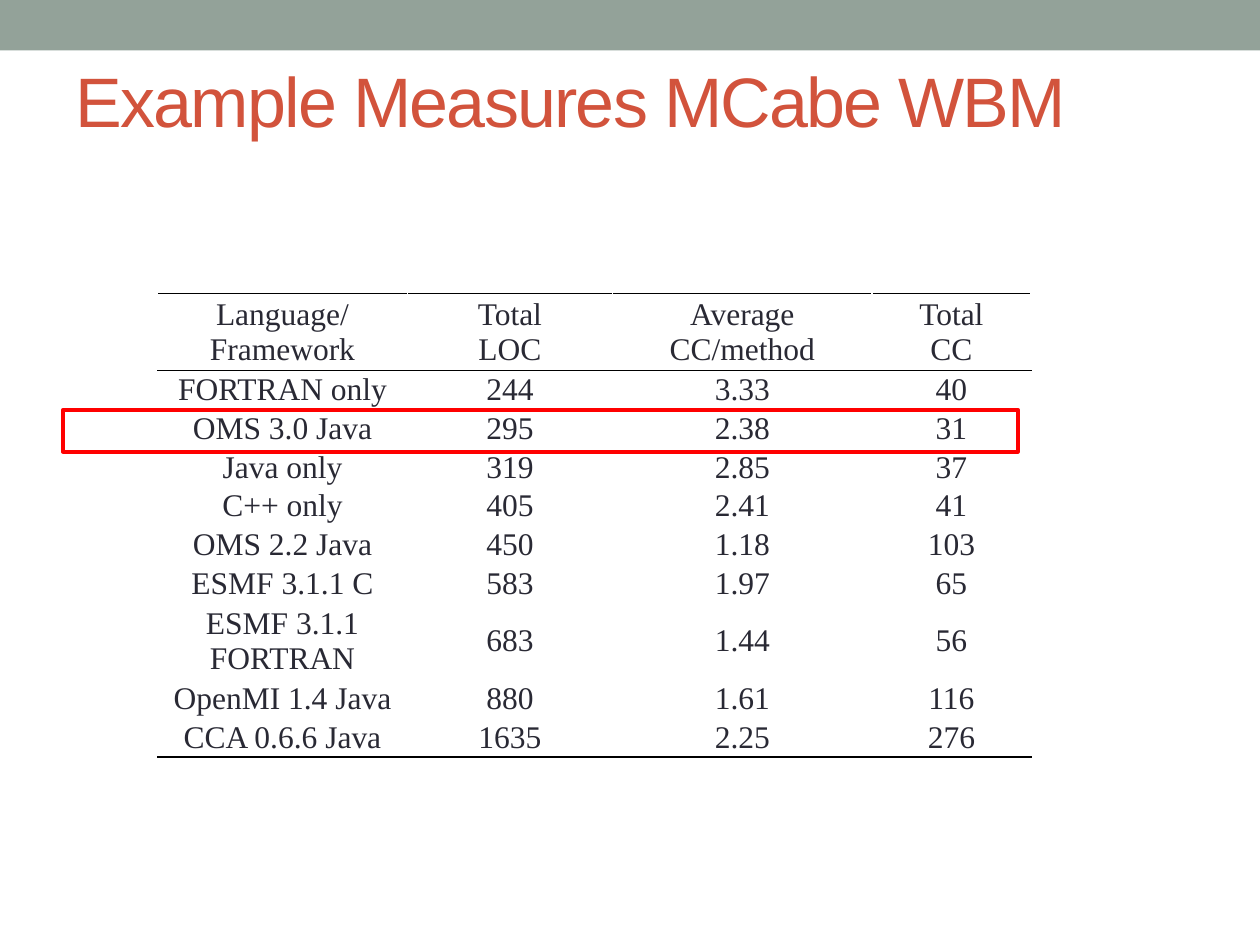
import pptx
import pptx.dml.color
import pptx.enum.shapes
import pptx.enum.text
import pptx.oxml.ns
import pptx.util
from lxml import etree

Cm = pptx.util.Cm
Pt = pptx.util.Pt
Align = pptx.enum.text.PP_ALIGN
Anchor = pptx.enum.text.MSO_ANCHOR

HEADER = ["Language/\nFramework", "Total\nLOC", "Average\nCC/method", "Total\nCC"]
MEASURES = [
    ["FORTRAN only", "244", "3.33", "40"],
    ["OMS 3.0 Java", "295", "2.38", "31"],
    ["Java only", "319", "2.85", "37"],
    ["C++ only", "405", "2.41", "41"],
    ["OMS 2.2 Java", "450", "1.18", "103"],
    ["ESMF 3.1.1 C", "583", "1.97", "65"],
    ["ESMF 3.1.1 FORTRAN", "683", "1.44", "56"],
    ["OpenMI 1.4 Java", "880", "1.61", "116"],
    ["CCA 0.6.6 Java", "1635", "2.25", "276"],
]
COLUMN_WIDTHS = [5.03, 4.14, 5.23, 3.2]
ROW_HEIGHT, TALL_ROW_HEIGHT = 0.78, 1.55
TALL_ROWS = {0, 7}


def color(value):
    return pptx.dml.color.RGBColor.from_string(value)


def write(frame, text, *, size, font, ink, align=Align.LEFT, spacing=None):
    """Fill a text frame, one paragraph per line of text."""
    for index, line in enumerate(text.split("\n")):
        para = frame.paragraphs[0] if index == 0 else frame.add_paragraph()
        para.alignment = align
        span = para.add_run()
        span.text = line
        span.font.size = Pt(size)
        span.font.name = font
        span.font.color.rgb = color(ink)
        if spacing is not None:
            span.font._element.set("spc", str(round(spacing * 100)))


def add_rule(cell, side):
    """Draw a black 1 pt border on the top (T) or bottom (B) of a cell."""
    properties = cell._tc.get_or_add_tcPr()
    line = etree.SubElement(properties, pptx.oxml.ns.qn(f"a:ln{side}"), w=str(Pt(1)))
    fill = etree.SubElement(line, pptx.oxml.ns.qn("a:solidFill"))
    etree.SubElement(fill, pptx.oxml.ns.qn("a:srgbClr"), val="000000")


class Slide:
    title_style = dict(size=40, font="Arial", ink="D2533C", spacing=-1)
    cell_style = dict(size=18, font="Times New Roman", ink="292934", align=Align.CENTER)

    def __init__(self, deck):
        self.page = deck.slides.add_slide(deck.slide_layouts[5])

    def title(self, text, left, top, width, height):
        box = self.page.shapes.title
        box.left, box.top, box.width, box.height = map(Cm, (left, top, width, height))
        box.text_frame.vertical_anchor = Anchor.MIDDLE
        write(box.text_frame, text, **self.title_style)

    def rectangle(self, left, top, width, height, fill=None, line=None, weight=1):
        box = self.page.shapes.add_shape(
            pptx.enum.shapes.MSO_SHAPE.RECTANGLE, *map(Cm, (left, top, width, height)))
        box.shadow.inherit = False
        if fill:
            box.fill.solid()
            box.fill.fore_color.rgb = color(fill)
        else:
            box.fill.background()
        if line:
            box.line.color.rgb = color(line)
            box.line.width = Pt(weight)
        else:
            box.line.fill.background()

    def table(self, rows, left, top, widths, heights):
        table = self.page.shapes.add_table(
            len(rows), len(widths), Cm(left), Cm(top),
            Cm(sum(widths)), Cm(sum(heights))).table
        table.first_row = table.horz_banding = False
        for column, width in zip(table.columns, widths):
            column.width = Cm(width)
        for index, (row, height) in enumerate(zip(rows, heights)):
            table.rows[index].height = Cm(height)
            for cell, text in zip(table.rows[index].cells, row):
                cell.margin_left = cell.margin_right = Cm(0.18)
                cell.margin_top = cell.margin_bottom = 0
                cell.vertical_anchor = Anchor.MIDDLE
                write(cell.text_frame, text, **self.cell_style)
                # Rules above and below the header, and under the last row
                if index in (0, 1):
                    add_rule(cell, "T")
                if index in (0, len(rows) - 1):
                    add_rule(cell, "B")
                cell.fill.background()


def main():
    deck = pptx.Presentation()
    deck.slide_width, deck.slide_height = Cm(25.4), Cm(19.05)
    slide = Slide(deck)

    # Top band and title
    slide.rectangle(0, 0, 25.4, 1.02, fill="93A299")
    slide.title("Example Measures MCabe WBM", 1.27, 0.85, 22.86, 2.33)

    # Table of measures
    rows = [HEADER] + MEASURES
    heights = [TALL_ROW_HEIGHT if index in TALL_ROWS else ROW_HEIGHT
               for index in range(len(rows))]
    slide.table(rows, 3.18, 5.92, COLUMN_WIDTHS, heights)

    # Frame around the highlighted row
    slide.rectangle(1.27, 8.26, 19.25, 0.85, line="FF0000", weight=2.08)

    deck.save("out.pptx")


if __name__ == "__main__":
    main()
